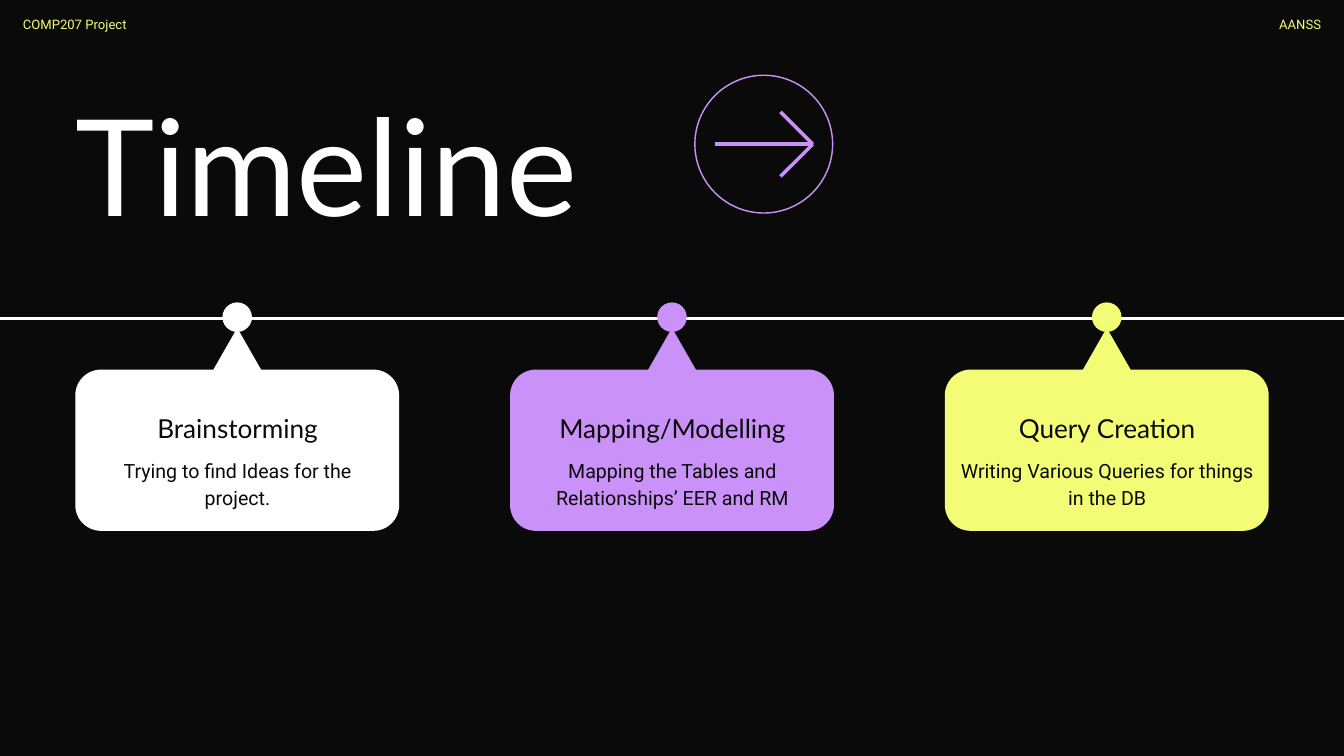
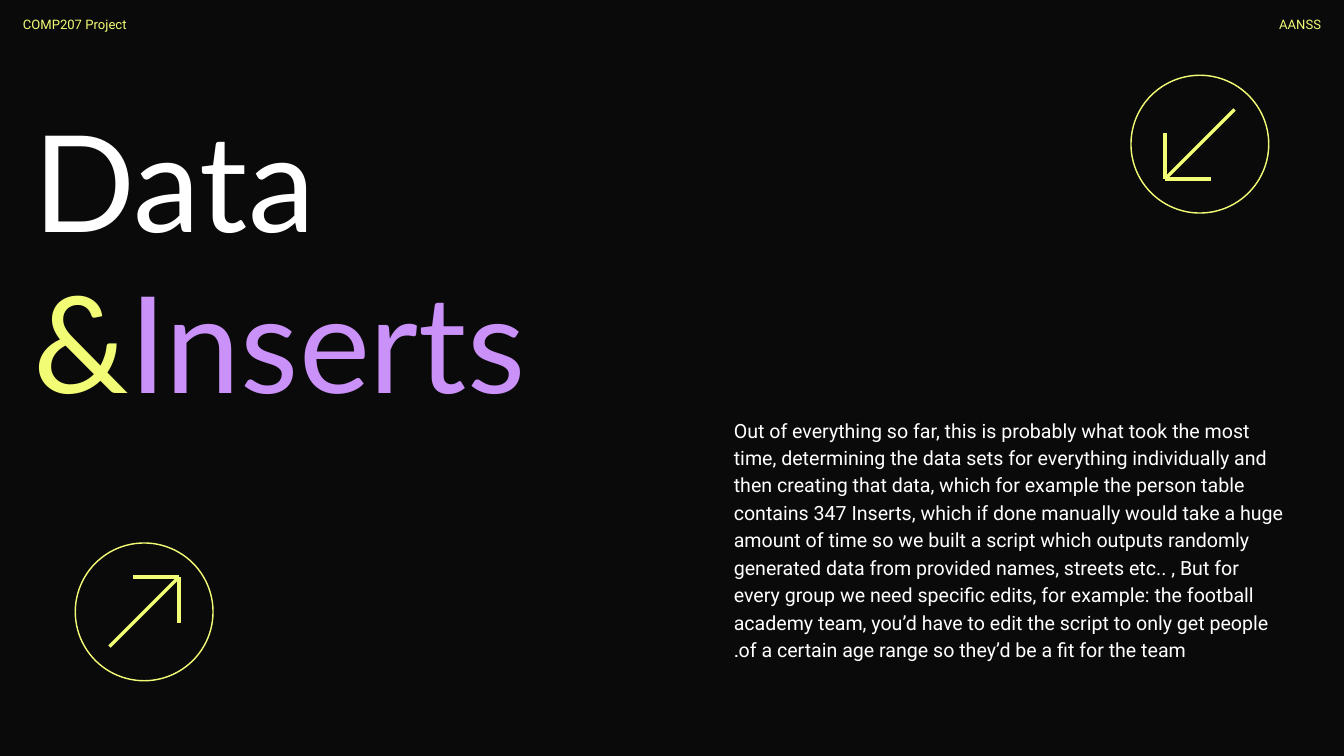
"""Builds the timeline and data slides of the COMP207 project deck."""
import math

from lxml import etree
from pptx import Presentation
from pptx import util as u
from pptx.dml.color import RGBColor
from pptx.enum import shapes, text
from pptx.oxml import ns

INK, WHITE, PURPLE, LIME = "0A0A0A", "FFFFFF", "CA91F8", "F2FC75"
HEADING_FONT, BODY_FONT = "Lato", "Roboto"
COLUMNS = 20
MARGIN, CARD_WIDTH, CARD_TOP = 1.12, 4.82, 5.5
BADGE = 2.05
LEFT, CENTER, RIGHT = text.PP_ALIGN.LEFT, text.PP_ALIGN.CENTER, text.PP_ALIGN.RIGHT


def colour(hex_string):
    return RGBColor.from_string(hex_string)


class Deck:
    """Holds the deck style and the current slide; lengths are in grid columns and rows."""

    def __init__(self):
        self.presentation = Presentation()
        self.presentation.slide_width = u.Inches(20)
        self.presentation.slide_height = u.Inches(11.25)
        self.cell = self.presentation.slide_width / COLUMNS
        self.slide = None

    def grid(self, *lengths):
        return [u.Emu(round(length * self.cell)) for length in lengths]

    def new_slide(self):
        self.slide = self.presentation.slides.add_slide(self.presentation.slide_layouts[6])
        self.slide.background.fill.solid()
        self.slide.background.fill.fore_color.rgb = colour(INK)

    def header(self):
        self.text(0.34, 0.21, 4.17, 0.26, [("COMP207 Project", LIME)], 14, 19.6)
        self.text(17.35, 0.21, 2.31, 0.26, [("AANSS", LIME)], 14, 19.6, align=RIGHT)

    def title(self, left, top, width, height, runs):
        self.text(left, top, width, height, runs, 144, 172.8, HEADING_FONT)

    def body(self, left, top, width, height, words, hue, align=LEFT):
        return self.text(left, top, width, height, [(words, hue)], 21, 29.4, align=align)

    def text(self, left, top, width, height, runs, size, leading, font=BODY_FONT, align=LEFT):
        box = self.slide.shapes.add_textbox(*self.grid(left, top, width, height))
        frame = box.text_frame
        frame.word_wrap = True
        frame.auto_size = text.MSO_AUTO_SIZE.SHAPE_TO_FIT_TEXT
        frame.margin_left = frame.margin_right = frame.margin_top = frame.margin_bottom = 0
        paragraph = frame.paragraphs[0]
        paragraph.alignment = align
        paragraph.line_spacing = u.Pt(leading)
        for words, hue in runs:
            run = paragraph.add_run()
            run.text = words
            run.font.name = font
            run.font.size = u.Pt(size)
            run.font.color.rgb = colour(hue)
        return paragraph

    def shape(self, kind, left, top, width, height, fill=None, outline=None):
        shape = self.slide.shapes.add_shape(kind, *self.grid(left, top, width, height))
        shape.shadow.inherit = False
        if fill:
            shape.fill.solid()
            shape.fill.fore_color.rgb = colour(fill)
        else:
            shape.fill.background()
        if outline:
            shape.line.color.rgb = colour(outline)
            shape.line.width = u.Pt(1.5)
        else:
            shape.line.fill.background()
        return shape

    def line(self, start, end, hue, weight):
        connector = self.slide.shapes.add_connector(
            shapes.MSO_CONNECTOR.STRAIGHT, *self.grid(*start, *end))
        connector.line.color.rgb = colour(hue)
        connector.line.width = u.Pt(weight)
        etree.SubElement(connector._element.spPr, ns.qn("a:effectLst"))

    def arrow_badge(self, left, top, degrees, hue):
        self.shape(shapes.MSO_SHAPE.OVAL, left, top, BADGE, BADGE, outline=hue)
        center = (left + BADGE / 2, top + BADGE / 2)

        def step(point, length, turn):
            angle = math.radians(degrees + turn)
            return point[0] + length * math.cos(angle), point[1] + length * math.sin(angle)

        tip = step(center, 0.73, 0)
        self.line(step(center, 0.73, 180), tip, hue, 3.64)
        for turn in (135, -135):
            self.line(step(tip, 0.68, turn), tip, hue, 3.64)

    def milestone(self, left, heading, words, hue):
        middle = left + CARD_WIDTH / 2
        self.shape(shapes.MSO_SHAPE.OVAL, middle - 0.22, 4.5, 0.44, 0.44, hue)
        self.shape(shapes.MSO_SHAPE.ISOSCELES_TRIANGLE, middle - 0.36, 4.88, 0.72, 0.63, hue)
        card = self.shape(shapes.MSO_SHAPE.ROUNDED_RECTANGLE, left, CARD_TOP, CARD_WIDTH, 2.4, hue)
        card.adjustments[0] = 0.16
        self.text(left + 0.23, CARD_TOP + 0.6, 4.37, 0.5, [(heading, INK)], 28, 36.4,
                  HEADING_FONT, CENTER)
        self.body(left + 0.23, CARD_TOP + 1.27, 4.37, 0.78, words, INK, CENTER)


def timeline(deck):
    deck.new_slide()
    deck.title(MARGIN, 1.22, 9.77, 2.4, [("Timeline", WHITE)])
    deck.line((0, 4.74), (COLUMNS, 4.74), WHITE, 3)
    deck.arrow_badge(10.34, MARGIN, 0, PURPLE)
    milestones = [
        ("Brainstorming", "Trying to find Ideas for the project.", WHITE),
        ("Mapping/Modelling", "Mapping the Tables and Relationships’ EER and RM", PURPLE),
        ("Query Creation", "Writing Various Queries for things in the DB", LIME),
    ]
    pitch = (COLUMNS - 2 * MARGIN - CARD_WIDTH) / (len(milestones) - 1)
    for index, milestone in enumerate(milestones):
        deck.milestone(MARGIN + index * pitch, *milestone)
    deck.header()


def data_inserts(deck):
    deck.new_slide()
    deck.arrow_badge(MARGIN, 8.08, -45, LIME)
    deck.arrow_badge(COLUMNS - MARGIN - BADGE, MARGIN, 135, LIME)
    deck.title(0.5, 1.46, 9.63, 4.85, [("Data ", WHITE), ("&", LIME), ("Inserts", PURPLE)])
    deck.header()
    paragraph = deck.body(
        10.92, 6.17, 8.28, 4.44,
        "Out of everything so far, this is probably what took the most time, determining the "
        "data sets for everything individually and then creating that data, which for example "
        "the person table contains 347 Inserts, which if done manually would take a huge amount "
        "of time so we built a script which outputs randomly generated data from provided names, "
        "streets etc.. , But for every group we need specific edits, for example: the football "
        "academy team, you’d have to edit the script to only get people of a certain age range "
        "so they’d be a fit for the team.", WHITE)
    paragraph._p.get_or_add_pPr().set("rtl", "1")


def main():
    deck = Deck()
    timeline(deck)
    data_inserts(deck)
    deck.presentation.save("out.pptx")


if __name__ == "__main__":
    main()
